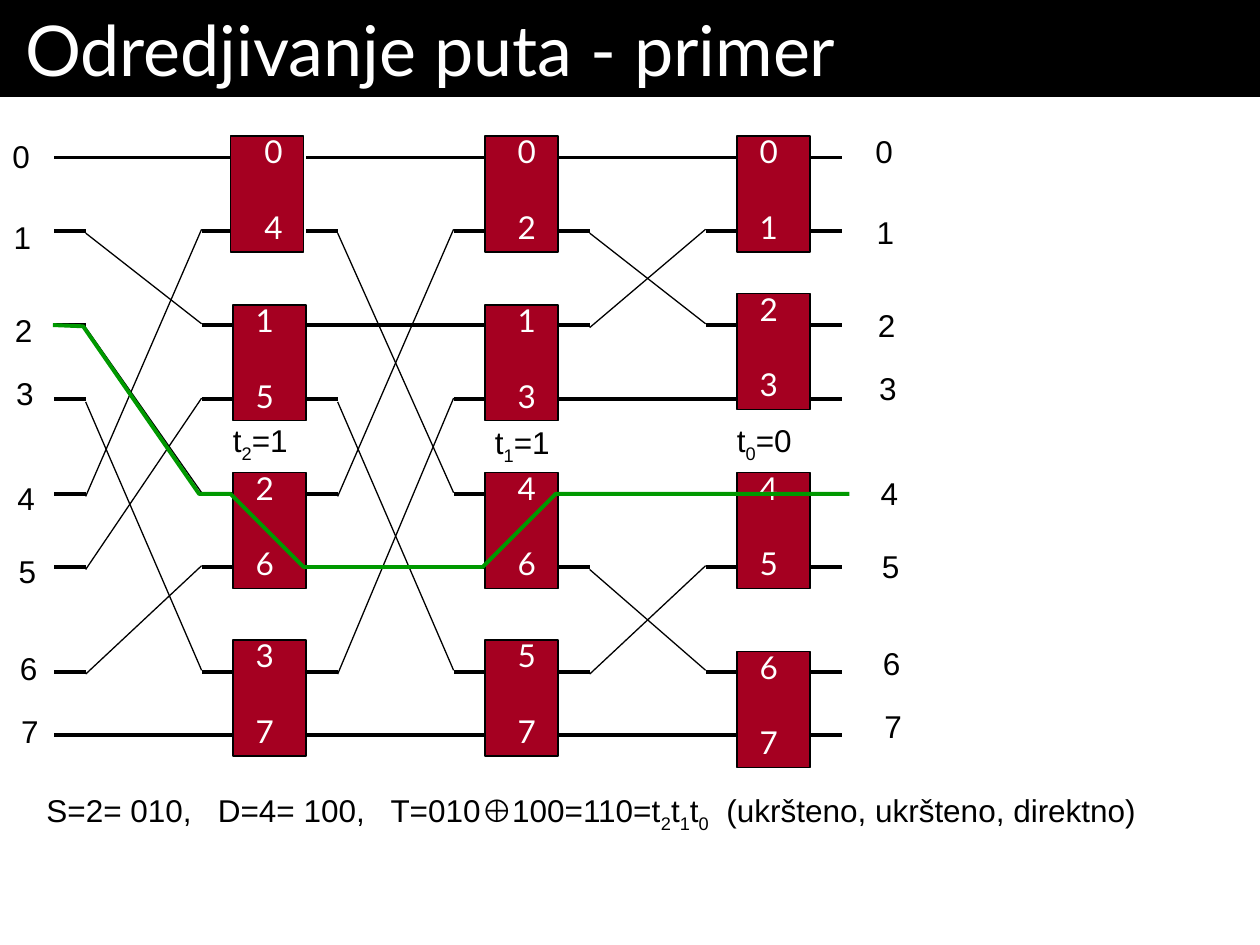
from lxml.etree import SubElement
from pptx import Presentation
from pptx.dml.color import RGBColor
from pptx.enum.shapes import MSO_CONNECTOR, MSO_SHAPE
from pptx.enum.text import MSO_ANCHOR, MSO_AUTO_SIZE, PP_ALIGN
from pptx.oxml.ns import qn
from pptx.util import Inches, Pt

BLACK, WHITE, RED, GREEN = "000000", "FFFFFF", "A50021", "009900"
TITLE = "Odredjivanje puta - primer"
FORMULA = [("S=2= 010,   D=4= 100,   T=010⊕100=110=t", 0), ("2", 1), ("t", 0),
           ("1", 1), ("t", 0), ("0", 1), ("  (ukršteno, ukršteno, direktno)", 0)]

LANES = [1.25, 1.83, 2.58, 3.17, 3.92, 4.5, 5.33, 5.83]
STAGES = [
    {"x": 1.85, "tops": [1.08, 2.42, 3.75, 5.08], "pairs": ["04", "15", "26", "37"],
     "straight": [0, 7], "cross": {1: 2, 2: 4, 3: 6, 4: 1, 5: 3, 6: 5},
     "label_dx": 0.08, "bit": ("2", "=1", 1.75, 3.33)},
    {"x": 3.85, "tops": [1.08, 2.42, 3.75, 5.08], "pairs": ["02", "13", "46", "57"],
     "straight": [0, 2, 5, 7], "cross": {1: 4, 3: 6, 4: 1, 6: 3},
     "label_dx": 0.16, "bit": ("1", "=1", 3.83, 3.35)},
    {"x": 5.85, "tops": [1.08, 2.33, 3.75, 5.17], "pairs": ["01", "23", "45", "67"],
     "straight": [0, 3, 4, 7], "cross": {1: 2, 2: 1, 5: 6, 6: 5},
     "label_dx": 0.08, "bit": ("0", "=0", 5.75, 3.33)},
]
SWITCH_W, SWITCH_H, STUB, GAP = 0.58, 0.92, 0.25, 0.92
INPUT_X = 0.43
INPUT_TOPS = [1.04, 1.68, 2.42, 2.92, 3.75, 4.33, 5.1, 5.6]
OUTPUT_X, OUTPUT_RISE, LABEL_STEP = 6.85, 0.04, 0.01
ROUTE = [(0.42, 2.58), (0.66, 2.59), (1.58, 3.92), (1.83, 3.92),
         (2.41, 4.5), (3.83, 4.5), (4.41, 3.92), (6.74, 3.92)]


def rgb(color):
    return RGBColor.from_string(color)


def add_run(p, text, font, color, size=18, subscript=False):
    r = p.add_run()
    r.text = text
    r.font.name, r.font.size = font, Pt(size)
    r.font.color.rgb = rgb(color)
    if subscript:
        r.font._element.set("baseline", "-25000")


def add_text(s, x, y, w, h, paragraphs, font="Arial", color=BLACK, wrap=False, gap=0):
    tf = s.shapes.add_textbox(Inches(x), Inches(y), Inches(w), Inches(h)).text_frame
    tf.word_wrap = wrap
    tf.auto_size = MSO_AUTO_SIZE.SHAPE_TO_FIT_TEXT
    tf.vertical_anchor = MSO_ANCHOR.BOTTOM
    for i, runs in enumerate(paragraphs):
        p = tf.add_paragraph() if i else tf.paragraphs[0]
        if i:
            p.space_before = Pt(gap)
        for text, subscript in runs:
            add_run(p, text, font, color, subscript=subscript)


def add_line(s, x1, y1, x2, y2, width=2.25):
    line = s.shapes.add_connector(MSO_CONNECTOR.STRAIGHT, Inches(x1), Inches(y1),
                                  Inches(x2), Inches(y2))
    line.line.color.rgb = rgb(BLACK)
    line.line.width = Pt(width)
    SubElement(line._element.spPr, qn("a:effectLst"))


def add_switch(s, x, y, pair, label_dx):
    box = s.shapes.add_shape(MSO_SHAPE.RECTANGLE, Inches(x), Inches(y),
                             Inches(SWITCH_W), Inches(SWITCH_H))
    box.shadow.inherit = False
    box.fill.solid()
    box.fill.fore_color.rgb = rgb(RED)
    box.line.color.rgb = rgb(BLACK)
    box.line.width = Pt(0.75)
    add_text(s, x + label_dx, y - 0.08, 0.34, 1, [[(port, 0)] for port in pair],
             "Lato", WHITE, gap=21.6)


def add_title(s):
    title = s.shapes.title
    title.left, title.top, title.width, title.height = (
        Inches(v) for v in (0, 0, 10, 0.77))
    title.fill.solid()
    title.fill.fore_color.rgb = rgb(BLACK)
    tf = title.text_frame
    tf.auto_size = MSO_AUTO_SIZE.NONE
    tf.vertical_anchor = MSO_ANCHOR.TOP
    tf.margin_left = tf.margin_right = Inches(0.2)
    p = tf.paragraphs[0]
    p.alignment = PP_ALIGN.LEFT
    add_run(p, TITLE, "Lato", WHITE, 40)


def add_stage(s, stage, start):
    end = start + STUB
    for y in LANES:
        add_line(s, start, y, end, y)
        add_line(s, stage["x"] - STUB, y, stage["x"], y)
    for lane in stage["straight"]:
        add_line(s, end, LANES[lane], end + GAP, LANES[lane])
    for source, target in stage["cross"].items():
        add_line(s, end, LANES[source] + 0.02, end + GAP, LANES[target] - 0.01, 0.75)
    for i, (top, pair) in enumerate(zip(stage["tops"], stage["pairs"])):
        first = stage is STAGES[0] and i == 0
        add_switch(s, stage["x"] - (0.02 if first else 0), top, pair,
                   0.17 if first else stage["label_dx"])
    index, value, x, y = stage["bit"]
    add_text(s, x, y, 0.65, 0.4, [[("t", 0), (index, 1), (value, 0)]])


def add_route(s):
    points = [(Inches(x), Inches(y)) for x, y in ROUTE]
    builder = s.shapes.build_freeform(*points[0])
    builder.add_line_segments(points[1:], close=False)
    route = builder.convert_to_shape()
    route.shadow.inherit = False
    route.fill.background()
    route.line.color.rgb = rgb(GREEN)
    route.line.width = Pt(2.25)


def main():
    prs = Presentation()
    prs.slide_width, prs.slide_height = Inches(10), Inches(7.5)
    s = prs.slides.add_slide(prs.slide_layouts[5])
    add_title(s)
    start = INPUT_X
    for stage in STAGES:
        add_stage(s, stage, start)
        start = stage["x"] + SWITCH_W
    for y in LANES:
        add_line(s, start, y, start + STUB, y)
    for i, top in enumerate(INPUT_TOPS):
        shift = i * LABEL_STEP
        add_text(s, shift, top, 0.34, 0.4, [[(str(i), 0)]])
        add_text(s, OUTPUT_X + shift, top - OUTPUT_RISE, 0.34, 0.4, [[(str(i), 0)]])
    add_route(s)
    add_text(s, 0.27, 6.27, 9.39, 0.4, [FORMULA], wrap=True)
    prs.save("out.pptx")


if __name__ == "__main__":
    main()
